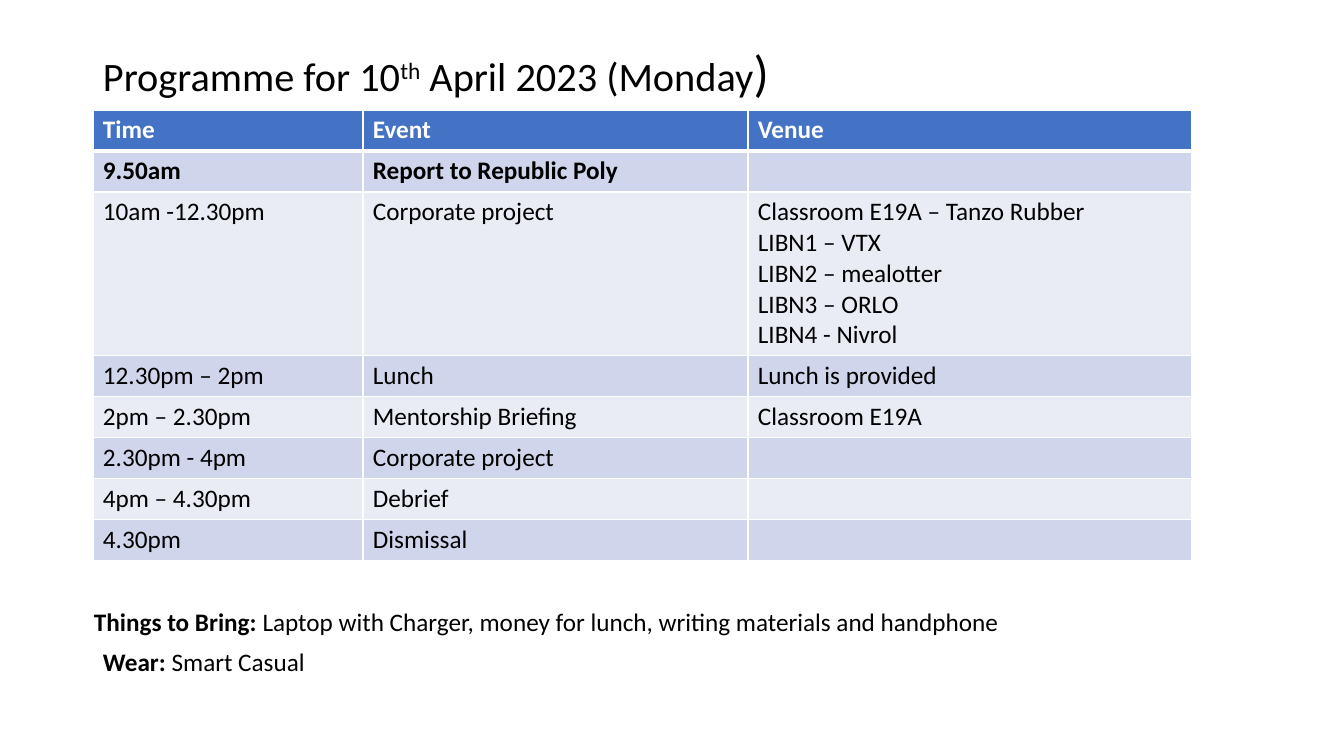
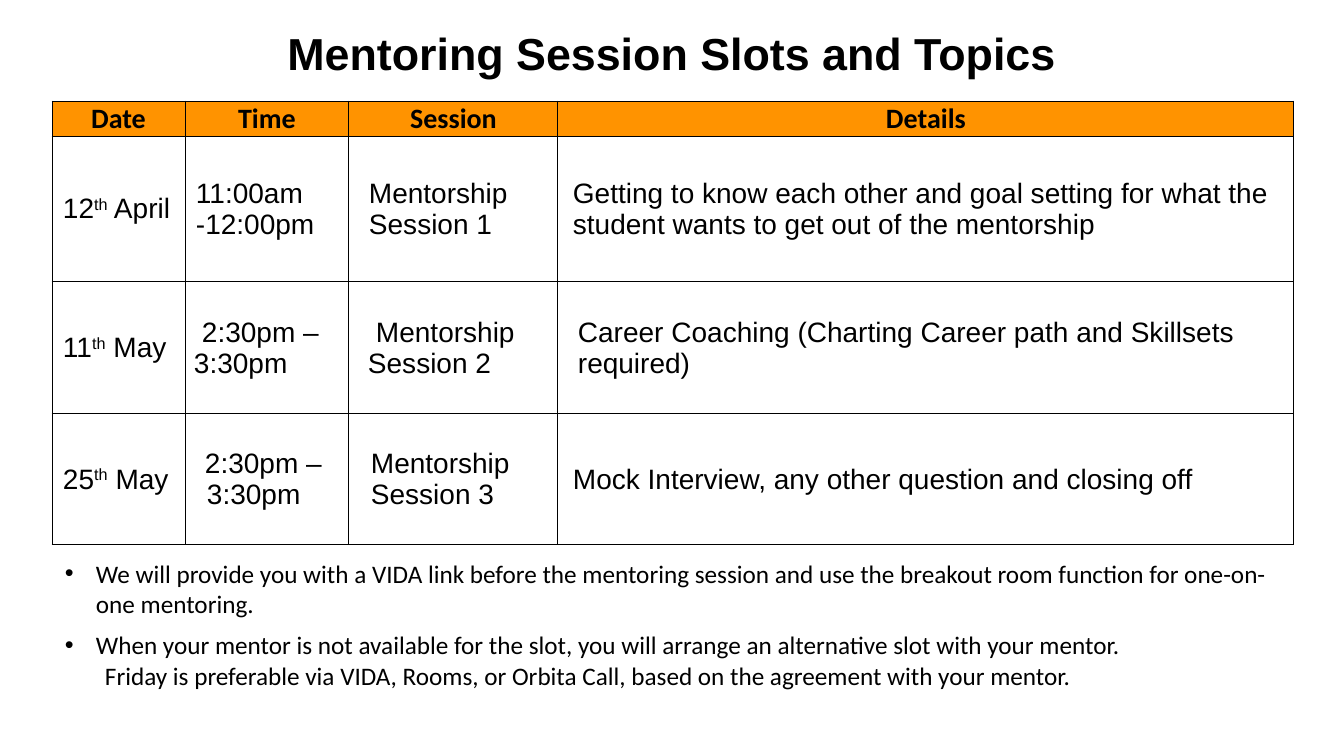
from dataclasses import dataclass

from lxml import etree
from pptx import Presentation
from pptx.dml.color import RGBColor
from pptx.enum.text import MSO_ANCHOR as Anchor, MSO_AUTO_SIZE as AutoSize, PP_ALIGN as Align
from pptx.oxml.ns import qn
from pptx.util import Emu, Pt


@dataclass(frozen=True)
class Theme:
    body_font: str = "Calibri"
    alt_font: str = "Arial"
    ink: str = "000000"
    paper: str = "FFFFFF"
    blue: str = "4472C4"
    bands: tuple = ("CFD5EA", "E9EBF5")
    orange: str = "FF9300"
    body: float = 18
    cell: float = 20
    heading: float = 28.8
    bracket: float = 36
    banner: float = 32


T = Theme()
EMU_PER_PX = 914400 / 100.8
SLIDE_W, SLIDE_H = 1344, 756
PAD = (10, 5, 10, 5)
WIDE_PAD = (13, 13, 13, 13)
NO_PAD = (0, 0, 0, 0)

# Content: a text is a string or a list of (text, style) runs
PROGRAMME_TITLE = [("Programme for 10", {}), ("th", {"sup": True}),
                   (" April 2023 (Monday", {}), (")", {"size": T.bracket})]
PROGRAMME_BOX = (93, 110)
PROGRAMME_COLS = (270, 385, 444)
PROGRAMME = [
    ("Time", "Event", "Venue"),
    ("9.50am", "Report to Republic Poly", ""),
    ("10am -12.30pm", "Corporate project",
     "Classroom E19A – Tanzo Rubber\nLIBN1 – VTX\nLIBN2 – mealotter\n"
     "LIBN3 – ORLO\nLIBN4 - Nivrol"),
    ("12.30pm – 2pm", "Lunch", "Lunch is provided"),
    ("2pm – 2.30pm", "Mentorship Briefing", "Classroom E19A"),
    ("2.30pm - 4pm", "Corporate project", ""),
    ("4pm – 4.30pm", "Debrief", ""),
    ("4.30pm", "Dismissal", ""),
]
PROGRAMME_ROWS = [163 if "\n" in row[2] else 41 for row in PROGRAMME]
REMINDERS = [
    ((84, 601, 1145, 40), "Things to Bring: ",
     "Laptop with Charger, money for lunch, writing materials and handphone"),
    ((93, 641, 1127, 40), "Wear: ", "Smart Casual"),
]

SESSIONS_TITLE = "Mentoring Session Slots and Topics"
SESSIONS_BOX = (52, 101)
SESSIONS_COLS = (133, 164, 209, 736)
SESSIONS_ROWS = (35, 146, 132, 131)
SESSIONS_HEAD = ("Date", "Time", "Session", "Details")
# day, month, time, session, details
SESSIONS = [
    ("12", "April", "11:00am -12:00pm", "Mentorship Session 1",
     "Getting to know each other and goal setting for what the student "
     "wants to get out of the mentorship"),
    ("11", "May", "2:30pm – 3:30pm", "Mentorship Session 2",
     "Career Coaching (Charting Career path and Skillsets required)"),
    ("25", "May", "2:30pm – 3:30pm", "Mentorship Session 3",
     "Mock Interview, any other question and closing off"),
]
# (left margin, first-line indent) of each session cell
SESSION_INDENTS = [
    ((11, 0), (11, 0), (20, 0), (15, 0)),
    ((11, 0), (9, 8), (19, 8), (20, 0)),
    ((11, 0), (22, -2), (22, 0), (15, 0)),
]
# text, left margin, first-line indent, bullet, space before
NOTES = [
    ("We will provide you with a VIDA link before the mentoring session and use "
     "the breakout room function for one-on-one mentoring.", 31, -31, True, 0),
    ("When your mentor is not available for the slot, you will arrange an "
     "alternative slot with your mentor.", 31, -31, True, 8),
    ("Friday is preferable via VIDA, Rooms, or Orbita Call, based on the "
     "agreement with your mentor.", 40, 0, False, 0),
]


def px(n):
    return Emu(round(n * EMU_PER_PX))


def rgb(color):
    return RGBColor.from_string(color)


# Text
def add_runs(p, text, size=T.body, font=T.body_font, color=T.ink, bold=False):
    runs = [(text, {})] if isinstance(text, str) else text
    for words, style in runs:
        r = p.add_run()
        r.text = words
        r.font.name = font
        r.font.size = Pt(style.get("size", size))
        r.font.bold = style.get("bold", bold)
        r.font.color.rgb = rgb(color)
        if style.get("sup"):
            r._r.get_or_add_rPr().set("baseline", "30000")


def set_indent(p, left, first, bullet=False):
    pPr = p._p.get_or_add_pPr()
    pPr.set("marL", str(px(left)))
    pPr.set("indent", str(px(first)))
    if bullet:
        etree.SubElement(pPr, qn("a:buFont"), typeface="Arial")
        etree.SubElement(pPr, qn("a:buChar"), char="•")


def set_frame(tf, pad, anchor=Anchor.TOP):
    tf.word_wrap = True
    tf.auto_size = AutoSize.NONE
    tf.vertical_anchor = anchor
    tf.margin_left, tf.margin_top, tf.margin_right, tf.margin_bottom = map(px, pad)


def add_text(slide, box, pad=PAD):
    tf = slide.shapes.add_textbox(*map(px, box)).text_frame
    set_frame(tf, pad)
    return tf


def add_titled_slide(prs, box, text, align, anchor, pad, spacing, **style):
    slide = prs.slides.add_slide(prs.slide_layouts[5])
    title = slide.shapes.title
    title.left, title.top, title.width, title.height = map(px, box)
    set_frame(title.text_frame, pad, anchor)
    p = title.text_frame.paragraphs[0]
    p.alignment = align
    p.line_spacing = spacing
    add_runs(p, text, **style)
    return slide


# Tables
def add_grid(slide, corner, cols, rows):
    frame = slide.shapes.add_table(len(rows), len(cols), *map(px, corner),
                                   px(sum(cols)), px(sum(rows)))
    table = frame.table
    table.first_row = table.horz_banding = False
    for col, width in zip(table.columns, cols):
        col.width = px(width)
    for row, height in zip(table.rows, rows):
        row.height = px(height)
    return table


def style_cell(cell, fill, line, pad, anchor, width=1, top=None, bottom=None):
    tcPr = cell._tc.get_or_add_tcPr()
    sides = {"L": width, "R": width, "T": top or width, "B": bottom or width}
    for side, points in sides.items():
        ln = etree.SubElement(tcPr, qn(f"a:ln{side}"), w=str(Pt(points)))
        solid = etree.SubElement(ln, qn("a:solidFill"))
        etree.SubElement(solid, qn("a:srgbClr"), val=line)
    cell.fill.solid()
    cell.fill.fore_color.rgb = rgb(fill)
    cell.vertical_anchor = anchor
    cell.margin_left, cell.margin_top, cell.margin_right, cell.margin_bottom = map(px, pad)


def build_programme(prs):
    slide = add_titled_slide(prs, (93, 40, 1127, 70), PROGRAMME_TITLE, Align.LEFT,
                             Anchor.MIDDLE, PAD, 0.9, size=T.heading)
    # Timetable
    table = add_grid(slide, PROGRAMME_BOX, PROGRAMME_COLS, PROGRAMME_ROWS)
    for i, row in enumerate(PROGRAMME):
        fill = T.bands[(i - 1) % 2] if i else T.blue
        for j, text in enumerate(row):
            cell = table.cell(i, j)
            style_cell(cell, fill, T.paper, PAD, Anchor.TOP,
                       top=3 if i == 1 else None, bottom=3 if i == 0 else None)
            tf = cell.text_frame
            for k, line in enumerate(text.split("\n") if text else []):
                p = tf.add_paragraph() if k else tf.paragraphs[0]
                add_runs(p, line, color=T.ink if i else T.paper, bold=i < 2)
    # Reminders
    for box, label, text in REMINDERS:
        tf = add_text(slide, box)
        add_runs(tf.paragraphs[0], [(label, {"bold": True}), (text, {})])


def build_sessions(prs):
    slide = add_titled_slide(prs, (46, 13, 1252, 63), SESSIONS_TITLE, Align.CENTER,
                             Anchor.TOP, WIDE_PAD, 1.0, size=T.banner,
                             font=T.alt_font, bold=True)
    # Session table
    table = add_grid(slide, SESSIONS_BOX, SESSIONS_COLS, SESSIONS_ROWS)
    for j, text in enumerate(SESSIONS_HEAD):
        cell = table.cell(0, j)
        style_cell(cell, T.orange, T.ink, NO_PAD, Anchor.MIDDLE, 0.75)
        p = cell.text_frame.paragraphs[0]
        p.alignment = Align.CENTER
        add_runs(p, text, T.cell, bold=True)
    for i, (day, month, *rest) in enumerate(SESSIONS):
        date = [(day, {}), ("th", {"sup": True}), (f" {month}", {})]
        for j, text in enumerate([date, *rest]):
            cell = table.cell(i + 1, j)
            style_cell(cell, T.paper, T.ink, NO_PAD, Anchor.MIDDLE, 0.75)
            p = cell.text_frame.paragraphs[0]
            set_indent(p, *SESSION_INDENTS[i][j])
            add_runs(p, text, T.cell, T.alt_font)
    # Notes
    tf = add_text(slide, (52, 545, 1252, 170), WIDE_PAD)
    for k, (text, left, first, bullet, gap) in enumerate(NOTES):
        p = tf.add_paragraph() if k else tf.paragraphs[0]
        set_indent(p, left, first, bullet)
        if gap:
            p.space_before = Pt(gap)
        add_runs(p, text)


def main():
    prs = Presentation()
    prs.slide_width, prs.slide_height = px(SLIDE_W), px(SLIDE_H)
    build_programme(prs)
    build_sessions(prs)
    prs.save("out.pptx")


if __name__ == "__main__":
    main()
